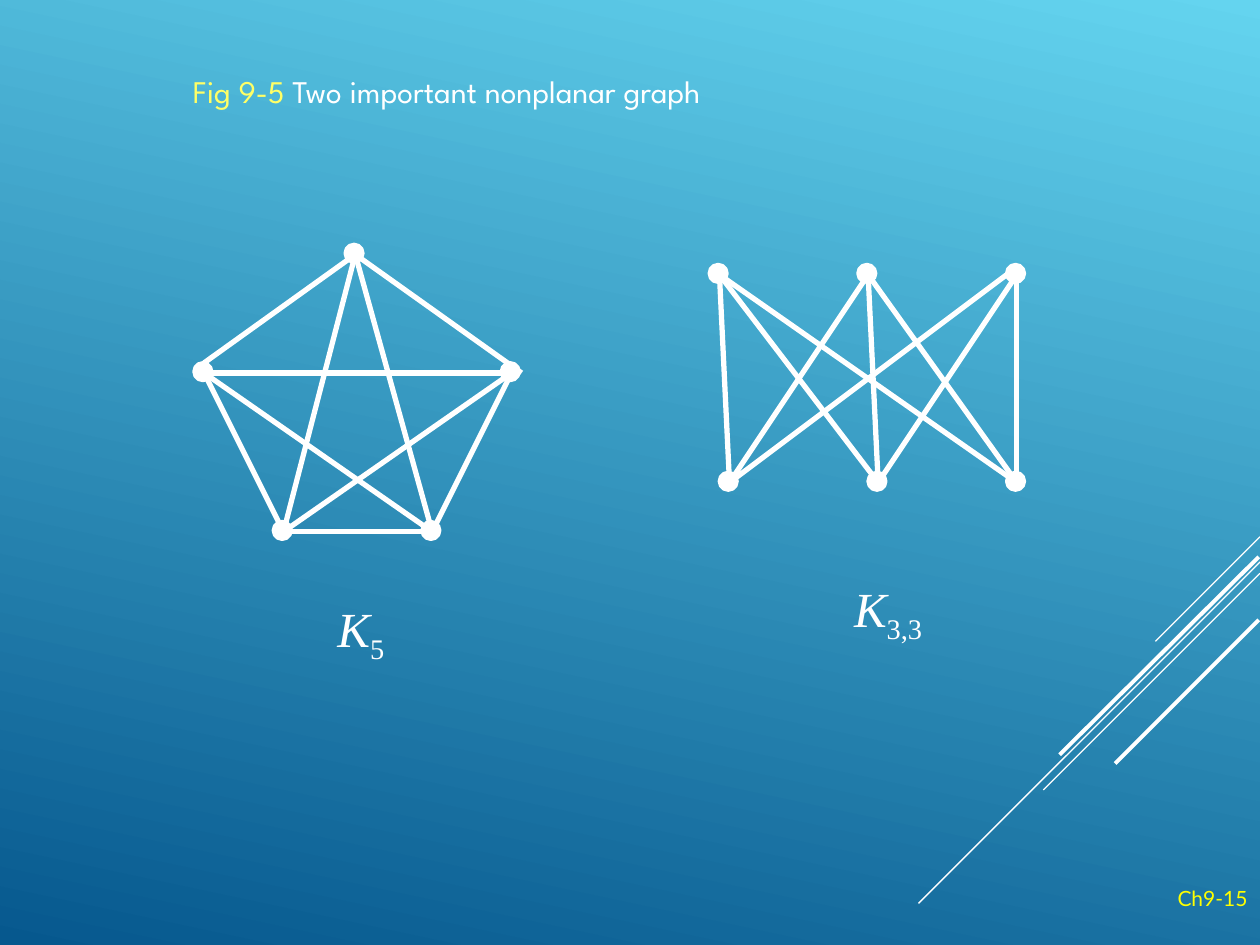
from dataclasses import dataclass, field
from itertools import combinations, product
from typing import NamedTuple

from lxml.etree import SubElement
from pptx import Presentation
from pptx.dml.color import RGBColor as Color
from pptx.enum.shapes import MSO_CONNECTOR as Connector, MSO_SHAPE as Shape
from pptx.enum.text import MSO_ANCHOR as Anchor, MSO_AUTO_SIZE as AutoSize, PP_ALIGN as Align
from pptx.oxml.ns import qn
from pptx.util import Inches, Pt


@dataclass(frozen=True)
class Theme:
    sky: str = "64D4EF"
    deep: str = "06588E"
    ink: str = "FFFFFF"
    accent: str = "FFFF66"
    number: str = "FFFF00"
    title_font: str = "League Spartan"
    number_font: str = "Lato"
    math_font: str = "Times New Roman"
    title_size: float = 18
    number_size: float = 12
    math_size: float = 28
    thin: float = 0.75
    medium: float = 2.25
    dot_line: float = 2
    edge: float = 3


class Point(NamedTuple):
    x: float
    y: float


class Stroke(NamedTuple):
    start: Point
    end: Point
    width: float


@dataclass(frozen=True)
class Graph:
    dots: dict[str, Point]
    edges: list[tuple[str, str]]
    label: Point
    label_width: float
    subscript: str
    end_shifts: dict[tuple[str, str], Point] = field(default_factory=dict)


THEME = Theme()
DOT = 0.14
JOINT = 0.08

STRIPES = [
    Stroke(Point(10, 4.26), Point(9.17, 5.09), THEME.thin),
    Stroke(Point(10, 4.46), Point(7.29, 7.17), THEME.thin),
    Stroke(Point(10, 4.55), Point(8.28, 6.27), THEME.thin),
    Stroke(Point(9.99, 4.42), Point(8.41, 5.99), THEME.medium),
    Stroke(Point(9.99, 4.92), Point(8.85, 6.06), THEME.medium),
]

PENTAGON = {
    "top": Point(2.74, 1.94),
    "right": Point(3.98, 2.88),
    "left": Point(1.54, 2.88),
    "low right": Point(3.35, 4.14),
    "low left": Point(2.17, 4.14),
}
UPPER = {f"upper {n}": Point(x, 2.1) for n, x in enumerate((5.63, 6.81, 7.99))}
LOWER = {f"lower {n}": Point(x, 3.75) for n, x in enumerate((5.71, 6.89, 7.99))}

GRAPHS = [
    Graph(PENTAGON, list(combinations(PENTAGON, 2)), Point(2.58, 4.7), 0.57, "5",
          {("top", "right"): Point(0.08, 0), ("top", "left"): Point(0, -0.08)}),
    Graph(UPPER | LOWER, list(product(LOWER, UPPER)), Point(6.68, 4.54), 0.74, "3,3",
          {("lower 0", "upper 2"): Point(-0.08, 0)}),
]


def add_span(para, text: str, *, font: str, size: float, color: str,
             italic: bool = False, baseline: int = 0) -> None:
    span = para.add_run()
    span.text = text
    span.font.name = font
    span.font.size = Pt(size)
    span.font.italic = italic
    span.font.color.rgb = Color.from_string(color)
    if baseline:
        span.font._element.set("baseline", str(baseline * 1000))


def format_frame(box, *, wrap: bool, align: Align = Align.LEFT):
    frame = box.text_frame
    frame.word_wrap = wrap
    frame.auto_size = AutoSize.NONE if wrap else AutoSize.SHAPE_TO_FIT_TEXT
    frame.vertical_anchor = Anchor.TOP
    para = frame.paragraphs[0]
    para.alignment = align
    return para


def add_box(page, at: Point, width: float, height: float):
    return page.shapes.add_textbox(Inches(at.x), Inches(at.y), Inches(width), Inches(height))


def draw_stroke(page, stroke: Stroke) -> None:
    line = page.shapes.add_connector(
        Connector.STRAIGHT, Inches(stroke.start.x), Inches(stroke.start.y),
        Inches(stroke.end.x), Inches(stroke.end.y))
    line.line.color.rgb = Color.from_string(THEME.ink)
    line.line.width = Pt(stroke.width)
    SubElement(line._element.spPr, qn("a:effectLst"))


def draw_dot(page, at: Point) -> None:
    dot = page.shapes.add_shape(
        Shape.OVAL, Inches(at.x), Inches(at.y), Inches(DOT), Inches(DOT))
    dot.shadow.inherit = False
    dot.fill.solid()
    dot.fill.fore_color.rgb = Color.from_string(THEME.ink)
    dot.line.color.rgb = Color.from_string(THEME.ink)
    dot.line.width = Pt(THEME.dot_line)


def draw_graph(page, graph: Graph) -> None:
    joints = {name: Point(dot.x + JOINT, dot.y + JOINT) for name, dot in graph.dots.items()}
    for start, end in graph.edges:
        shift = graph.end_shifts.get((start, end), Point(0, 0))
        target = Point(joints[end].x + shift.x, joints[end].y + shift.y)
        draw_stroke(page, Stroke(joints[start], target, THEME.edge))
    for dot in graph.dots.values():
        draw_dot(page, dot)
    para = format_frame(add_box(page, graph.label, graph.label_width, 0.63), wrap=False)
    style = dict(font=THEME.math_font, size=THEME.math_size, color=THEME.ink)
    add_span(para, "K", italic=True, **style)
    add_span(para, graph.subscript, baseline=-25, **style)


def paint_background(page) -> None:
    fill = page.background.fill
    fill.gradient()
    fill.gradient_angle = 360 - 102
    for stop, color in zip(fill.gradient_stops, (THEME.sky, THEME.deep)):
        stop.color.rgb = Color.from_string(color)


def write_title(page) -> None:
    title = page.shapes.title
    title.left, title.top = Inches(1.43), Inches(0.52)
    title.width, title.height = Inches(4.83), Inches(0.4)
    para = format_frame(title, wrap=False)
    style = dict(font=THEME.title_font, size=THEME.title_size)
    add_span(para, "Fig 9-5 ", color=THEME.accent, **style)
    add_span(para, "Two important nonplanar graph", color=THEME.ink, **style)


def write_page_number(page) -> None:
    para = format_frame(add_box(page, Point(7.92, 6.98), 2.08, 0.28),
                        wrap=True, align=Align.RIGHT)
    add_span(para, "Ch9-15", font=THEME.number_font, size=THEME.number_size,
             color=THEME.number)


def main() -> None:
    deck = Presentation()
    deck.slide_width, deck.slide_height = Inches(10), Inches(7.5)
    page = deck.slides.add_slide(deck.slide_layouts[5])
    paint_background(page)
    for stripe in STRIPES:
        draw_stroke(page, stripe)
    write_page_number(page)
    write_title(page)
    for graph in GRAPHS:
        draw_graph(page, graph)
    deck.save("out.pptx")


if __name__ == "__main__":
    main()
